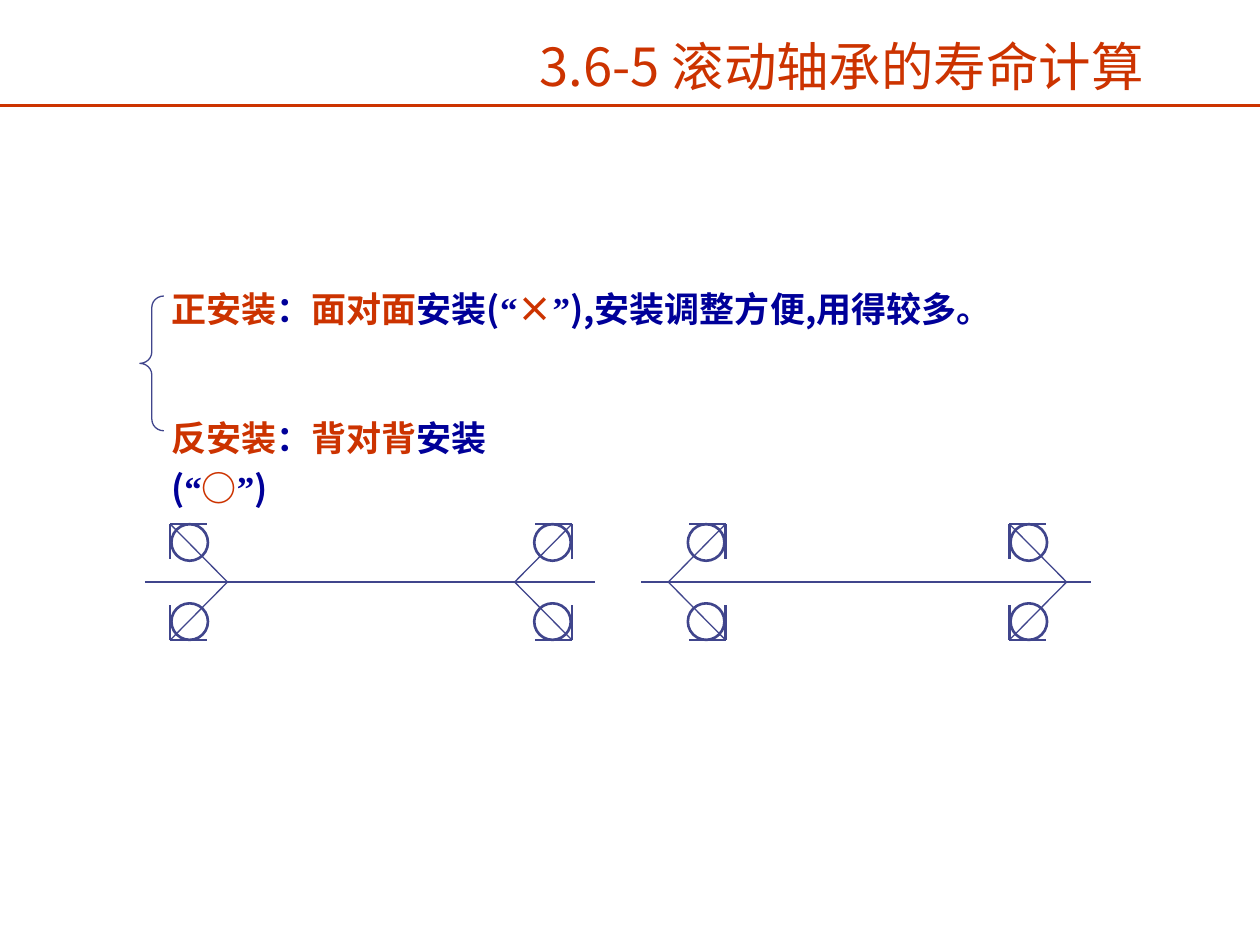
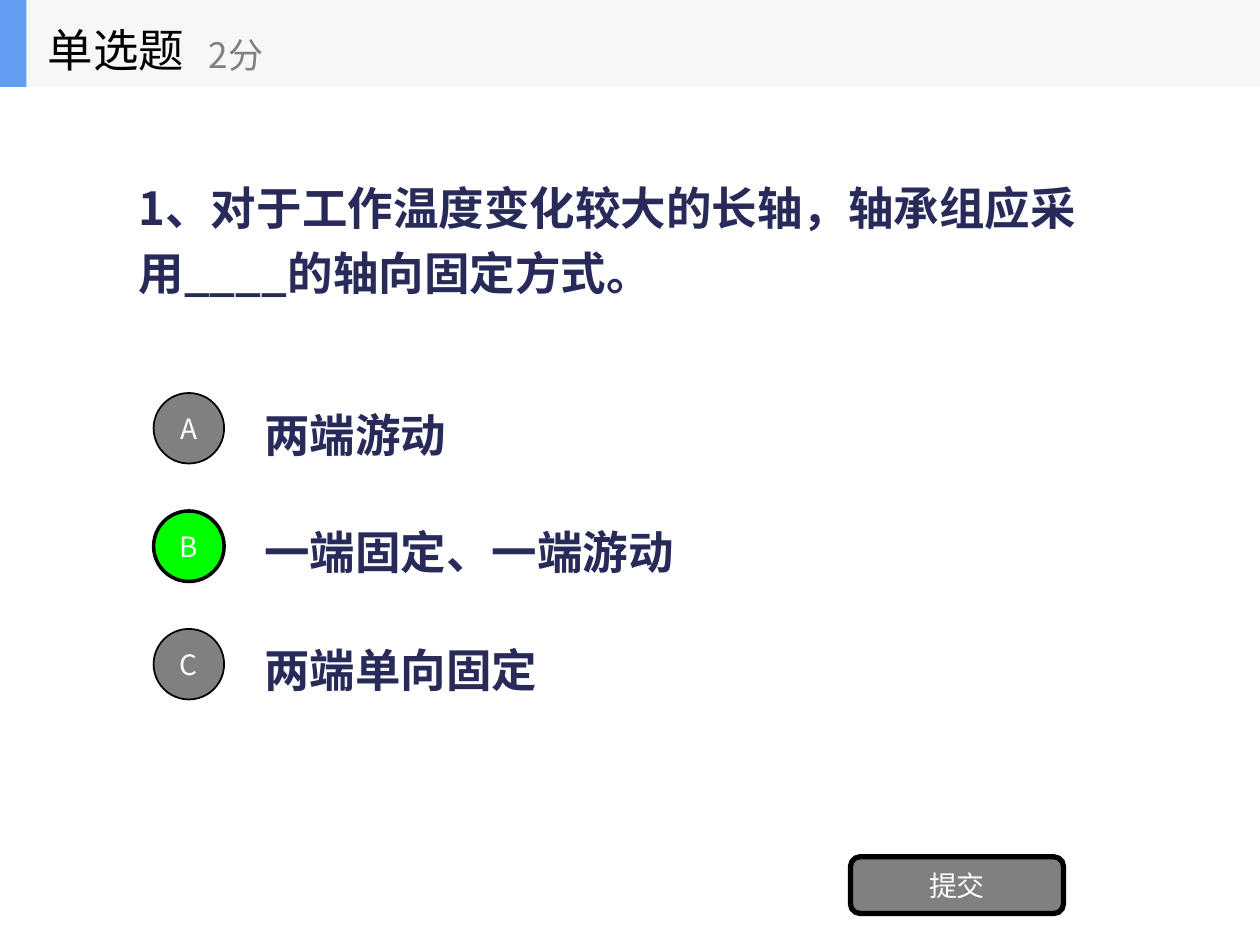
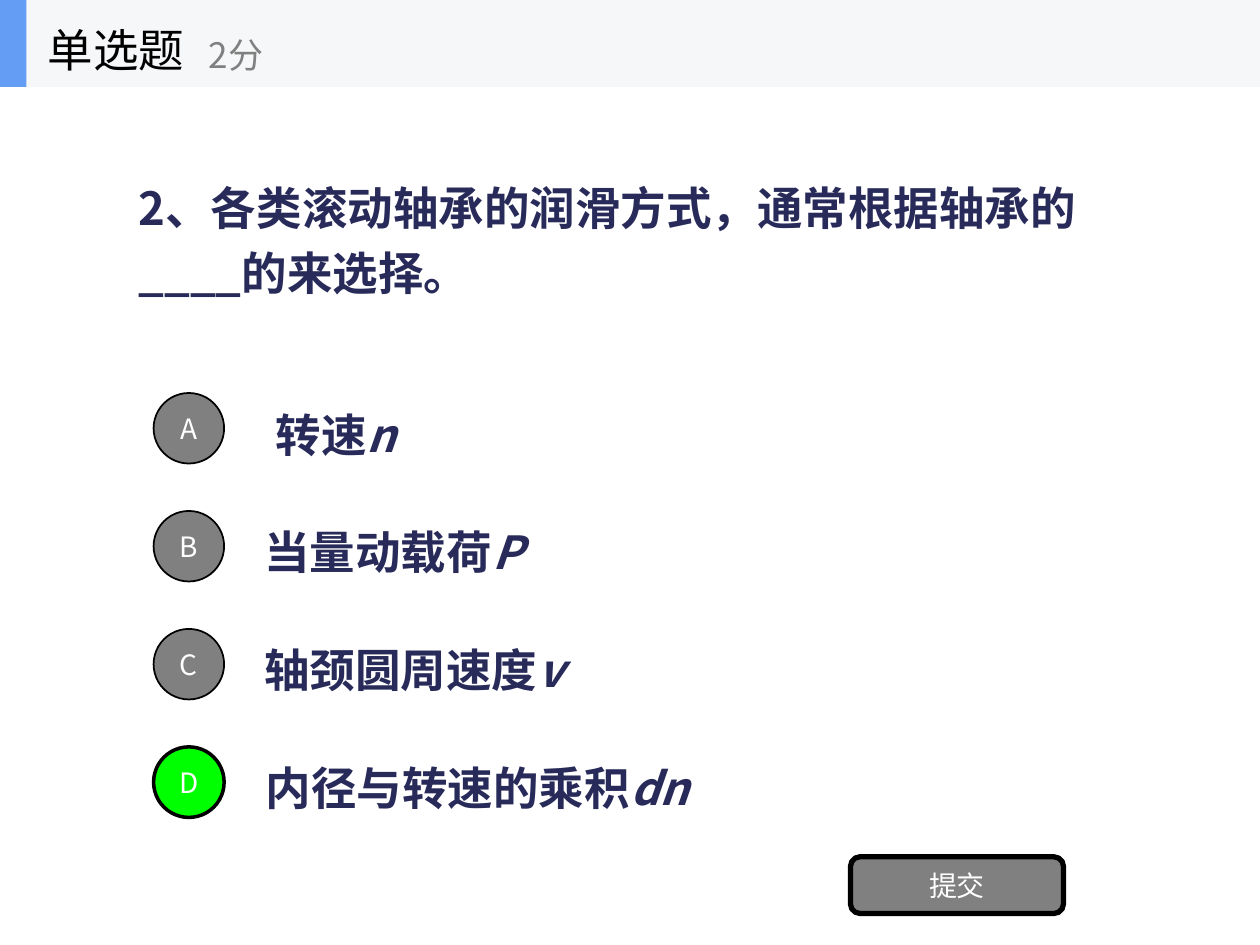
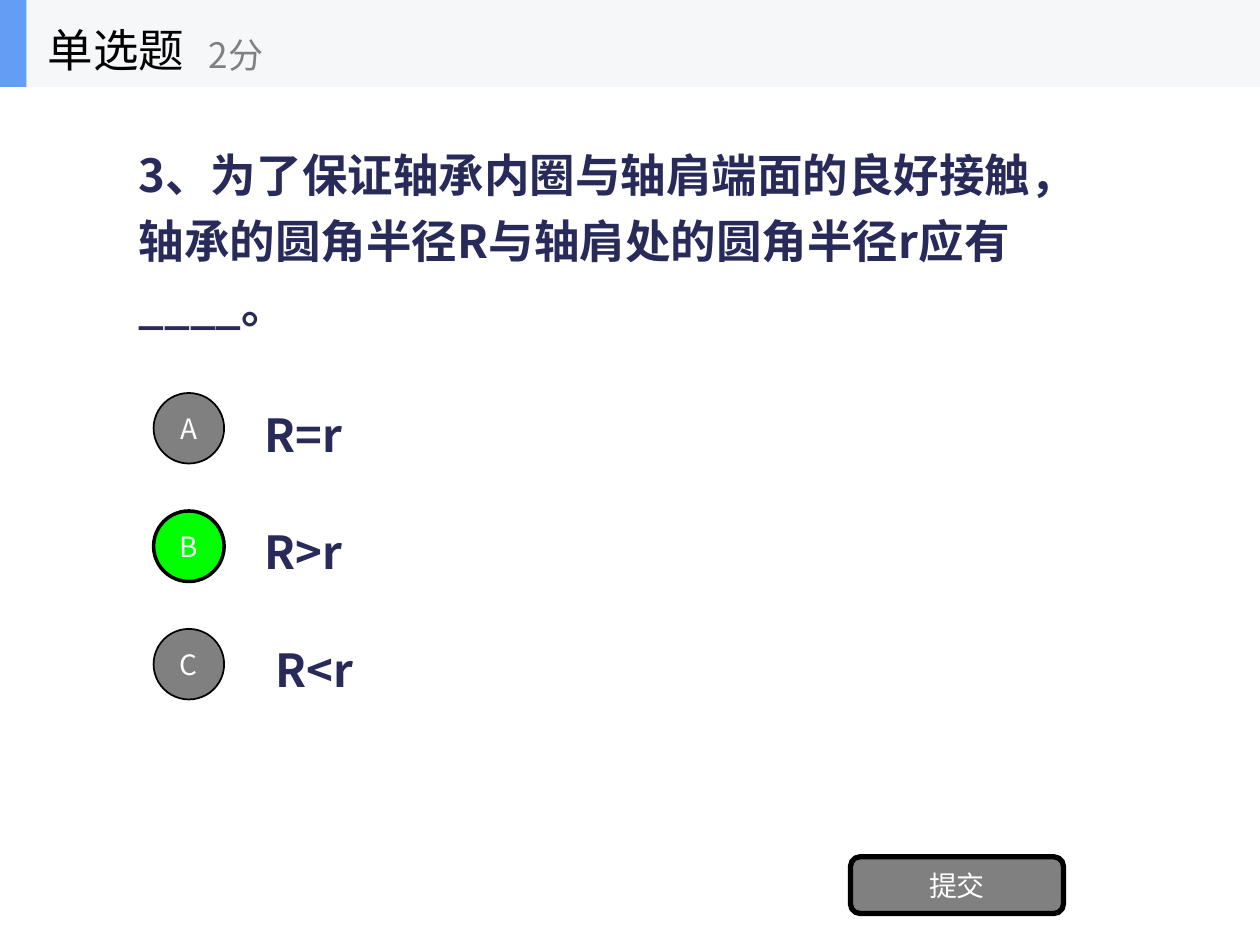
from dataclasses import dataclass
from itertools import product

from lxml.etree import SubElement
from pptx import Presentation
from pptx.dml.color import RGBColor
from pptx.enum.shapes import MSO_CONNECTOR, MSO_SHAPE
from pptx.enum.text import MSO_ANCHOR, MSO_AUTO_SIZE, PP_ALIGN
from pptx.oxml.ns import qn
from pptx.util import Pt

# Shared style
RED = RGBColor(0xCC, 0x33, 0x00)
BLUE = RGBColor(0x00, 0x00, 0x99)
STEEL = RGBColor(0x40, 0x45, 0x8C)
NAVY = RGBColor(0x28, 0x2B, 0x59)
GRAY = RGBColor(0x80, 0x80, 0x80)
GREEN = RGBColor(0x00, 0xFF, 0x00)
BLACK = RGBColor(0x00, 0x00, 0x00)
WHITE = RGBColor(0xFF, 0xFF, 0xFF)
PALE = RGBColor(0xF6, 0xF7, 0xF8)
SKY = RGBColor(0x63, 0x9E, 0xF4)
SANS = "Noto Sans CJK SC"
SERIF = "Times New Roman"
WIDE, HIGH = 720, 540
TALL = 1.2

# Bearing diagram and answer list
AXIS, RISE, BALL = 332.6, 33.2, 20.9
TOP, STEP, DISC = 224.6, 67.4, 40.3


@dataclass
class Box:
    left: float
    top: float
    width: float
    height: float


@dataclass
class Span:
    text: str
    color: RGBColor = NAVY
    size: float = 26
    bold: bool = True
    italic: bool = False
    font: str = SANS


@dataclass
class Shaft:
    left: float
    right: float
    ends: tuple  # (corner x, direction of the contact line)


@dataclass
class Choice:
    text: str
    symbol: str = ""
    right: bool = False
    shift: float = 0


@dataclass
class Quiz:
    ask: str
    choices: list


def place(shape, box: Box) -> None:
    shape.left, shape.top = Pt(box.left), Pt(box.top)
    shape.width, shape.height = Pt(box.width), Pt(box.height)


def write(shape, spans: list, space: float = 1, align=PP_ALIGN.LEFT,
          anchor=MSO_ANCHOR.MIDDLE) -> None:
    frame = shape.text_frame
    frame.word_wrap = True
    frame.auto_size = MSO_AUTO_SIZE.NONE
    frame.vertical_anchor = anchor
    para = frame.paragraphs[0]
    para.alignment, para.line_spacing = align, space
    for span in spans:
        run = para.add_run()
        run.text = span.text
        font = run.font
        font.name, font.size = span.font, Pt(span.size)
        font.bold, font.italic = span.bold, span.italic
        font.color.rgb = span.color
        SubElement(run._r.rPr, qn("a:ea"), typeface=span.font)


def label(slide, box: Box, spans: list, anchor=MSO_ANCHOR.MIDDLE) -> None:
    shape = slide.shapes.add_textbox(0, 0, 0, 0)
    place(shape, box)
    write(shape, spans, TALL, anchor=anchor)


def draw(slide, kind, box: Box, fill=None, edge=None, weight: float = 1):
    shape = slide.shapes.add_shape(kind, 0, 0, 0, 0)
    place(shape, box)
    shape.shadow.inherit = False
    if fill is None:
        shape.fill.background()
    else:
        shape.fill.solid()
        shape.fill.fore_color.rgb = fill
    if edge is None:
        shape.line.fill.background()
    else:
        shape.line.color.rgb = edge
        shape.line.width = Pt(weight)
    return shape


def rule(slide, x: float, y: float, to_x: float, to_y: float,
         weight: float = 1.5, color: RGBColor = STEEL) -> None:
    line = slide.shapes.add_connector(
        MSO_CONNECTOR.STRAIGHT, Pt(x), Pt(y), Pt(to_x), Pt(to_y))
    line.line.color.rgb = color
    line.line.width = Pt(weight)
    SubElement(line._element.spPr, qn("a:effectLst"))


# Bearing mounting slide
def bearing(slide, x: float, way: int, side: int) -> None:
    y = AXIS + side * RISE
    rule(slide, x, y, x + way * 21, y)
    rule(slide, x, y, x, y - side * 20)
    mid_x, mid_y = x + way * 11.2, y - side * 10.6
    draw(slide, MSO_SHAPE.OVAL,
         Box(mid_x - BALL / 2, mid_y - BALL / 2, BALL, BALL),
         edge=STEEL, weight=1.5)
    rule(slide, x, y, x + way * 32.8, AXIS, 0.75)


def mount(slide, box: Box, name: str, faces: str, mark: str,
          tail: str) -> None:
    parts = [(name, RED, SANS), ("：", BLUE, SANS), (faces, RED, SANS),
             ("安装(", BLUE, SANS), ("“", BLUE, SERIF), (mark, RED, SANS),
             ("”", BLUE, SERIF), (tail, BLUE, SANS)]
    label(slide, box, [Span(text, color, 20, font=font)
                       for text, color, font in parts], MSO_ANCHOR.TOP)


def mount_slide(deck) -> None:
    slide = deck.slides.add_slide(deck.slide_layouts[5])
    title = slide.shapes.title
    place(title, Box(290.2, 18, 381.6, 41.8))
    write(title, [Span("3.6-5 滚动轴承的寿命计算", RED, 30, False)],
          align=PP_ALIGN.CENTER)
    frame = title.text_frame
    frame.margin_top, frame.margin_bottom = Pt(2.9), Pt(5.8)
    rule(slide, 0, 60.3, WIDE, 60.3, 2.25, RED)

    mount(slide, Box(90.7, 156.2, 483.8, 33.8),
          "正安装", "面对面", "×", "),安装调整方便,用得较多。")
    mount(slide, Box(90.7, 229.7, 248.4, 36.7),
          "反安装", "背对背", "○", ")")
    brace = draw(slide, MSO_SHAPE.LEFT_BRACE, Box(79.9, 169.2, 13.7, 77),
                 edge=STEEL, weight=0.75)
    brace.adjustments[0] = 0.48

    for shaft in (Shaft(82.8, 339.8, ((97.2, 1), (326.9, -1))),
                  Shaft(366.5, 623.5, ((414.7, -1), (576.7, 1)))):
        rule(slide, shaft.left, AXIS, shaft.right, AXIS)
        for (x, way), side in product(shaft.ends, (-1, 1)):
            bearing(slide, x, way, side)


# Single-choice slides
def header(slide) -> None:
    draw(slide, MSO_SHAPE.RECTANGLE, Box(0, 0, WIDE, 49.7), PALE)
    draw(slide, MSO_SHAPE.RECTANGLE, Box(0, 0, 15.1, 49.7), SKY)
    label(slide, Box(20.2, 0, 149.8, 49.7), [Span("单选题", BLACK, 26, False)])
    label(slide, Box(112.3, 8.6, 180, 40.3), [Span("2分", GRAY, 20, False)])


def button(slide, kind, box: Box, text: str, fill: RGBColor,
           weight: float) -> None:
    shape = draw(slide, kind, box, fill, BLACK, weight)
    write(shape, [Span(text, WHITE, 16, False)], align=PP_ALIGN.CENTER)


def quiz_slide(deck, quiz: Quiz) -> None:
    slide = deck.slides.add_slide(deck.slide_layouts[5])
    title = slide.shapes.title
    place(title, Box(72, 49.7, 576, 168.5))
    write(title, [Span(quiz.ask)], TALL)
    for row, choice in enumerate(quiz.choices):
        top = TOP + row * STEP
        spans = [Span(choice.text)]
        if choice.symbol:
            spans.append(Span(choice.symbol, italic=True))
        label(slide, Box(144 + choice.shift, top - 5, 504, 50.4), spans)
        button(slide, MSO_SHAPE.OVAL, Box(87.8, top, DISC, DISC), "ABCD"[row],
               GREEN if choice.right else GRAY, 2 if choice.right else 1)
    button(slide, MSO_SHAPE.ROUNDED_RECTANGLE, Box(486, 489.6, 121.7, 32.4),
           "提交", GRAY, 3)
    header(slide)


QUIZZES = [
    Quiz("1、对于工作温度变化较大的长轴，轴承组应采用____的轴向固定方式。",
         [Choice("两端游动"), Choice("一端固定、一端游动", right=True),
          Choice("两端单向固定")]),
    Quiz("2、各类滚动轴承的润滑方式，通常根据轴承的____的来选择。",
         [Choice("转速", "n", shift=6.5), Choice("当量动载荷", "P"),
          Choice("轴颈圆周速度", "v"),
          Choice("内径与转速的乘积", "dn", right=True, shift=0.7)]),
    Quiz("3、为了保证轴承内圈与轴肩端面的良好接触，"
         "轴承的圆角半径R与轴肩处的圆角半径r应有____。",
         [Choice("R=r"), Choice("R>r", right=True),
          Choice("R<r", shift=6.5)]),
]


def main() -> None:
    deck = Presentation()
    deck.slide_width, deck.slide_height = Pt(WIDE), Pt(HIGH)
    mount_slide(deck)
    for quiz in QUIZZES:
        quiz_slide(deck, quiz)
    deck.save("out.pptx")


if __name__ == "__main__":
    main()
